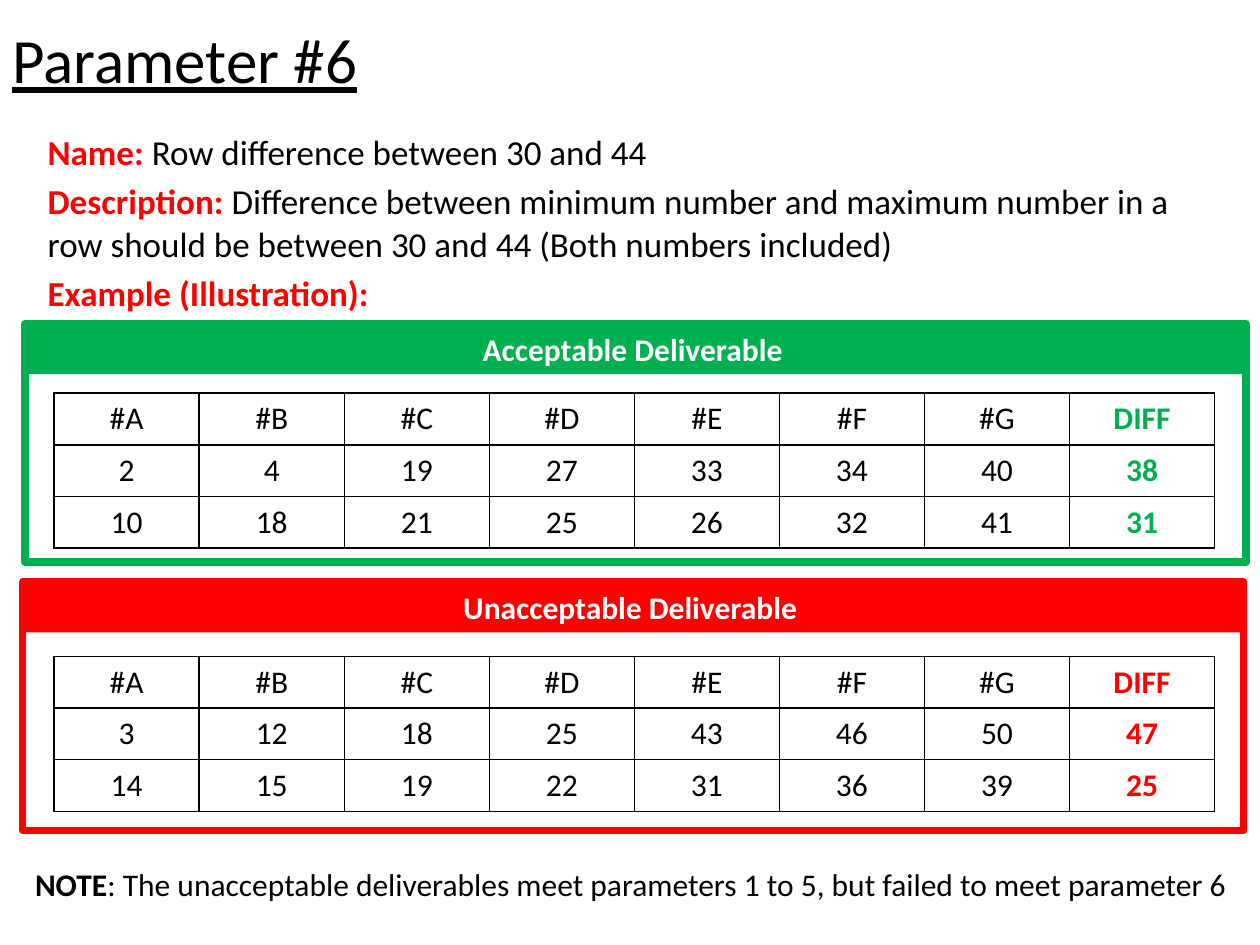
from lxml.etree import SubElement
from pptx import Presentation
from pptx.dml.color import RGBColor
from pptx.enum.shapes import MSO_SHAPE
from pptx.enum.text import MSO_ANCHOR, PP_ALIGN
from pptx.oxml.ns import qn
from pptx.util import Inches, Pt

BLACK = RGBColor(0x00, 0x00, 0x00)
WHITE = RGBColor(0xFF, 0xFF, 0xFF)
RED = RGBColor(0xFF, 0x00, 0x00)
GREEN = RGBColor(0x00, 0xB0, 0x50)

TITLE = "Parameter #6"
DETAILS = [
    ("Name: ", "Row difference between 30 and 44"),
    ("Description: ", "Difference between minimum number and maximum number in a row "
                      "should be between 30 and 44 (Both numbers included)"),
    ("Example (Illustration):", ""),
]
COLUMNS = ["#A", "#B", "#C", "#D", "#E", "#F", "#G", "DIFF"]
PANELS = [
    dict(title="Acceptable Deliverable ", color=GREEN, left=0.2, top=2.57,
         height=1.89, table_top=3.12,
         rows=[[2, 4, 19, 27, 33, 34, 40, 38], [10, 18, 21, 25, 26, 32, 41, 31]]),
    dict(title="Unacceptable Deliverable ", color=RED, left=0.18, top=4.62,
         height=1.97, table_top=5.21,
         rows=[[3, 12, 18, 25, 43, 46, 50, 47], [14, 15, 19, 22, 31, 36, 39, 25]]),
]
NOTE = ("NOTE", ": The unacceptable deliverables meet parameters 1 to 5, "
                "but failed to meet parameter 6")

PANEL_W, HEADER_H = 9.69, 0.4
TABLE_LEFT, TABLE_W, ROW_H = 0.43, 9.21, 0.41


def add_text(p, text, size=18, color=BLACK, bold=False, underline=False, align=None):
    if align is not None:
        p.alignment = align
    r = p.add_run()
    r.text = text
    font = r.font
    font.name, font.size = "Calibri", Pt(size)
    font.bold, font.underline = bold, underline
    font.color.rgb = color


def add_box(slide, left, top, width, height, anchor=MSO_ANCHOR.TOP):
    box = slide.shapes.add_textbox(Inches(left), Inches(top), Inches(width), Inches(height))
    tf = box.text_frame
    tf.word_wrap = True
    tf.vertical_anchor = anchor
    return tf


def add_rect(shapes, left, top, width, height):
    sp = shapes.add_shape(MSO_SHAPE.RECTANGLE, Inches(left), Inches(top),
                          Inches(width), Inches(height))
    sp.shadow.inherit = False
    return sp


def set_borders(cell):
    tc_pr = cell._tc.get_or_add_tcPr()
    for side in ("a:lnL", "a:lnR", "a:lnT", "a:lnB"):
        ln = SubElement(tc_pr, qn(side), w=str(Pt(0.96)))
        fill = SubElement(ln, qn("a:solidFill"))
        SubElement(fill, qn("a:srgbClr"), val=str(BLACK))


def add_panel(slide, panel):
    left, top, color = panel["left"], panel["top"], panel["color"]
    group = slide.shapes.add_group_shape()
    frame = add_rect(group.shapes, left, top, PANEL_W, panel["height"])
    frame.fill.background()
    frame.line.color.rgb = color
    frame.line.width = Pt(4.25)

    header = add_rect(group.shapes, left + 0.01, top, PANEL_W - 0.01, HEADER_H)
    header.fill.solid()
    header.fill.fore_color.rgb = color
    header.line.fill.background()
    header.text_frame.vertical_anchor = MSO_ANCHOR.MIDDLE
    add_text(header.text_frame.paragraphs[0], panel["title"], color=WHITE, bold=True,
             align=PP_ALIGN.CENTER)

    rows = [COLUMNS] + panel["rows"]
    table = slide.shapes.add_table(len(rows), len(COLUMNS), Inches(TABLE_LEFT),
                                   Inches(panel["table_top"]), Inches(TABLE_W),
                                   Inches(ROW_H * len(rows))).table
    table.first_row = table.horz_banding = False
    for i, row in enumerate(rows):
        for j, value in enumerate(row):
            cell = table.cell(i, j)
            is_diff = j == len(COLUMNS) - 1
            set_borders(cell)
            cell.fill.background()
            cell.vertical_anchor = MSO_ANCHOR.MIDDLE
            if i and not is_diff:
                cell.margin_left = cell.margin_right = Inches(0.01)
            add_text(cell.text_frame.paragraphs[0], str(value), bold=is_diff,
                     color=color if is_diff else BLACK, align=PP_ALIGN.CENTER)


def main():
    prs = Presentation()
    prs.slide_width, prs.slide_height = Inches(10), Inches(7.5)
    slide = prs.slides.add_slide(prs.slide_layouts[6])

    tf = add_box(slide, 0, 0, 9, 0.93, anchor=MSO_ANCHOR.MIDDLE)
    add_text(tf.paragraphs[0], TITLE, size=36, underline=True)

    tf = add_box(slide, 0.28, 0.99, 9.53, 4.95)
    for i, (label, detail) in enumerate(DETAILS):
        p = tf.add_paragraph() if i else tf.paragraphs[0]
        if i:
            p.space_before = Pt(4)
        add_text(p, label, size=20, color=RED, bold=True)
        if detail:
            add_text(p, detail, size=20)

    for panel in PANELS:
        add_panel(slide, panel)

    p = add_box(slide, 0.18, 6.82, 9.86, 0.7).paragraphs[0]
    add_text(p, NOTE[0], bold=True)
    add_text(p, NOTE[1])

    prs.save("out.pptx")


if __name__ == "__main__":
    main()
